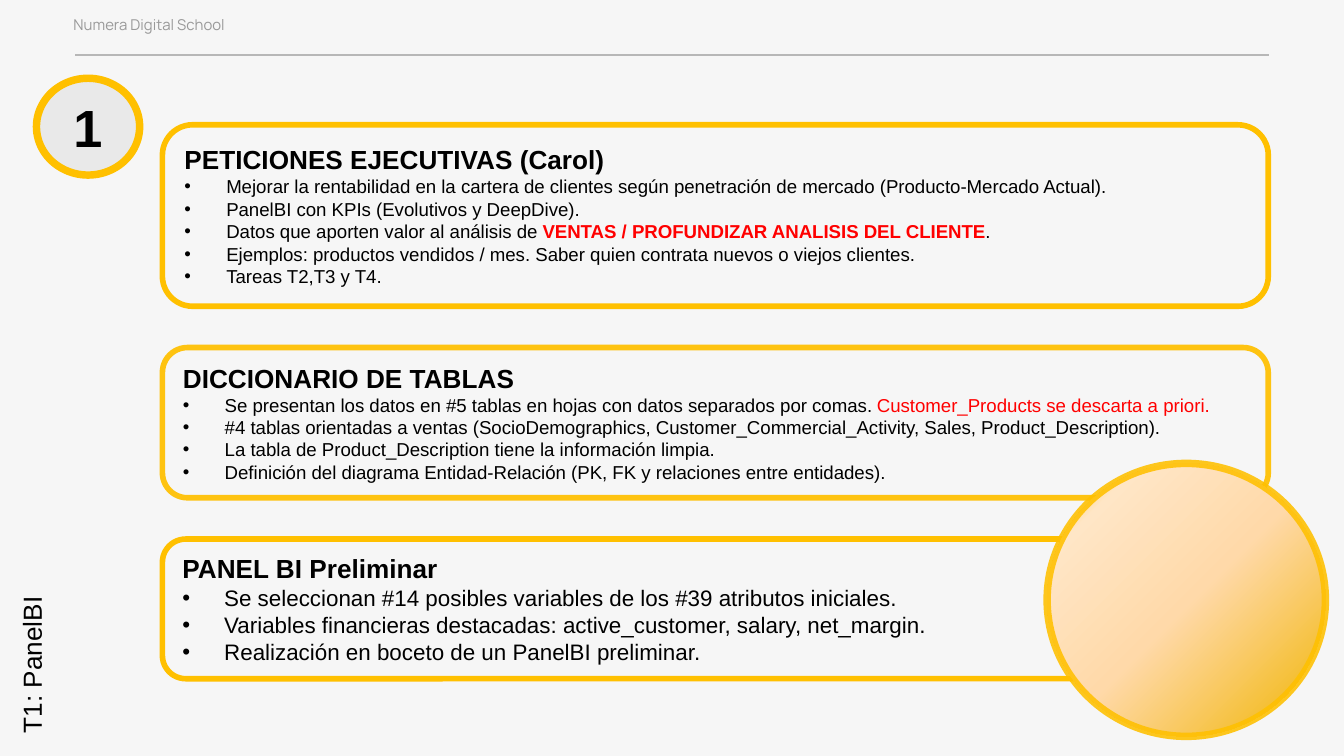
import dataclasses

import pptx
import pptx.dml.color
import pptx.enum.shapes
import pptx.enum.text
import pptx.oxml
import pptx.oxml.ns
import pptx.util

Cm, Pt = pptx.util.Cm, pptx.util.Pt
RGB = pptx.dml.color.RGBColor.from_string
SHAPE = pptx.enum.shapes.MSO_SHAPE
ANCHOR = pptx.enum.text.MSO_ANCHOR
ALIGN = pptx.enum.text.PP_ALIGN
qn = pptx.oxml.ns.qn


@dataclasses.dataclass(frozen=True)
class Theme:
    """Colours, fonts and type sizes of the slide."""
    back: str = "F6F6F6"
    rule: str = "B7B7B7"
    muted: str = "999999"
    ink: str = "000000"
    alert: str = "FF0000"
    gold: str = "FFC000"
    white: str = "FFFFFF"
    grey: str = "808080"
    glow: tuple = ((0, "F0B400"), (49, "FFD9A9"), (83, "FFE6C6"), (100, "FFC000"))
    font: str = "Arial"
    brand_font: str = "Manrope"
    tiny: int = 8
    small: int = 10
    body: int = 12
    title: int = 14
    number: int = 28


T = Theme()

CARDS = [
    ("PETICIONES EJECUTIVAS (Carol)", 3.43, T.small, 100, [
        ["Mejorar la rentabilidad en la cartera de clientes según penetración de mercado (Producto-Mercado Actual)."],
        ["PanelBI con KPIs (Evolutivos y DeepDive)."],
        ["Datos que aporten valor al análisis de ",
         ("VENTAS / PROFUNDIZAR ANALISIS DEL CLIENTE", {"color": T.alert, "bold": True}), "."],
        ["Ejemplos: productos vendidos / mes. Saber quien contrata nuevos o viejos clientes."],
        ["Tareas T2,T3 y T4."]]),
    ("DICCIONARIO DE TABLAS", 2.84, T.small, 92, [
        ["Se presentan los datos en #5 tablas en hojas con datos separados por comas. ",
         ("Customer_Products se descarta a priori.", {"color": T.alert})],
        ["#4 tablas orientadas a ventas (SocioDemographics, Customer_Commercial_Activity, Sales, Product_Description)."],
        ["La tabla de Product_Description tiene la información limpia."],
        ["Definición del diagrama Entidad-Relación (PK, FK y relaciones entre entidades)."]]),
    ("PANEL BI Preliminar", 2.64, T.body, 100, [
        ["Se seleccionan #14 posibles variables de los #39 atributos iniciales."],
        ["Variables financieras destacadas: active_customer, salary, net_margin."],
        ["Realización en boceto de un PanelBI preliminar."]]),
]


def xml(tag, inner="", **attrs):
    """Return a DrawingML element."""
    pairs = " ".join(f'{k}="{v}"' for k, v in attrs.items())
    return pptx.oxml.parse_xml(f'<a:{tag} {pptx.oxml.ns.nsdecls("a")} {pairs}>{inner}</a:{tag}>')


def add_run(p, text, size=T.small, color=T.ink, bold=False, font=T.font):
    """Add a formatted run to a paragraph."""
    r = p.add_run()
    r.text = text
    r.font.size, r.font.bold, r.font.name = Pt(size), bold, font
    r.font.color.rgb = RGB(color)


def add_label(s, box, text, inset=0.13, **fmt):
    """Add a one-line text box."""
    sp = s.shapes.add_textbox(*map(Cm, box))
    tf = sp.text_frame
    tf.word_wrap = True
    tf.margin_top = tf.margin_bottom = Cm(inset)
    add_run(tf.paragraphs[0], text, **fmt)
    return sp


def set_alpha(parent, percent):
    """Set the opacity of the solid colour below an element."""
    if percent < 100:
        color = next(parent.iter(qn("a:srgbClr")))
        color.append(xml("alpha", val=percent * 1000))


def add_framed(s, kind, box, fill, weight, fill_alpha=10, line_alpha=100):
    """Add a translucent shape with a gold outline."""
    sp = s.shapes.add_shape(kind, *map(Cm, box))
    sp.shadow.inherit = False
    sp.fill.solid()
    sp.fill.fore_color.rgb = RGB(fill)
    set_alpha(sp._element.spPr.find(qn("a:solidFill")), fill_alpha)
    sp.line.color.rgb = RGB(T.gold)
    sp.line.width = Pt(weight)
    set_alpha(sp._element.spPr.find(qn("a:ln")), line_alpha)
    return sp


def add_header(s, box):
    """Add the school name above a thin rule."""
    left, top, width, height = box
    rule = s.shapes.add_connector(pptx.enum.shapes.MSO_CONNECTOR.STRAIGHT,
                                  Cm(left), Cm(top + height), Cm(left + width), Cm(top + height))
    rule.line.color.rgb = RGB(T.rule)
    rule.line.width = Pt(0.75)
    rule._element.spPr.append(xml("effectLst"))
    add_label(s, (left - 0.28, top, 10.92, 0.97), "Numera Digital School", inset=0.25,
              size=T.tiny, color=T.muted, font=T.brand_font)


def add_badge(s, box, number):
    """Add the numbered circle."""
    left, top, width, height = box
    add_framed(s, SHAPE.OVAL, box, T.grey, 4)
    add_label(s, (left + 0.45, top + 0.2, 0.82, 1.45), number, size=T.number, bold=True)


def add_card(s, box, title, size, line_alpha, bullets):
    """Add a rounded card with a title and bullets."""
    sp = add_framed(s, SHAPE.ROUNDED_RECTANGLE, box, T.white, 3, line_alpha=line_alpha)
    tf = sp.text_frame
    tf.word_wrap = True
    tf.vertical_anchor = ANCHOR.MIDDLE
    p = tf.paragraphs[0]
    p.alignment = ALIGN.LEFT
    add_run(p, title, size=T.title, bold=True)
    for parts in bullets:
        p = tf.add_paragraph()
        p.alignment = ALIGN.LEFT
        pPr = p._p.get_or_add_pPr()
        pPr.set("marL", str(Cm(0.79)))
        pPr.set("indent", str(-Cm(0.79)))
        pPr.append(xml("buClr", f'<a:srgbClr val="{T.ink}"/>'))
        pPr.append(xml("buFont", typeface=T.font))
        pPr.append(xml("buChar", char="•"))
        for part in parts:
            text, fmt = (part, {}) if isinstance(part, str) else part
            add_run(p, text, size=size, **fmt)


def add_cards(s, box, gap):
    """Stack the cards down the box with equal gaps."""
    left, top, width = box
    for title, height, size, line_alpha, bullets in CARDS:
        add_card(s, (left, top, width, height), title, size, line_alpha, bullets)
        top += height + gap


def add_disc(s, box):
    """Add the gradient circle."""
    sp = add_framed(s, SHAPE.OVAL, box, T.gold, 4, fill_alpha=100, line_alpha=88)
    stops = "".join(f'<a:gs pos="{pos * 1000}"><a:srgbClr val="{c}"/></a:gs>' for pos, c in T.glow)
    grad = xml("gradFill", f'<a:gsLst>{stops}</a:gsLst><a:path path="circle">'
               '<a:fillToRect l="100000" t="100000"/></a:path>'
               '<a:tileRect r="-100000" b="-100000"/>', rotWithShape=1)
    spPr = sp._element.spPr
    spPr.replace(spPr.find(qn("a:solidFill")), grad)


def add_side_label(s, box, text):
    """Add a label that reads upwards inside the box."""
    left, top, width, height = box
    shift = (height - width) / 2
    sp = add_label(s, (left - shift, top + shift, height, width), text, size=T.title)
    sp.rotation = 270


def main():
    """Build and save the slide."""
    prs = pptx.Presentation()
    prs.slide_width, prs.slide_height = Cm(25.4), Cm(14.29)
    s = prs.slides.add_slide(prs.slide_layouts[6])
    s.background.fill.solid()
    s.background.fill.fore_color.rgb = RGB(T.back)
    add_header(s, (1.42, 0.13, 22.56, 0.91))
    add_badge(s, (0.69, 1.48, 1.95, 1.83), "1")
    add_cards(s, (3.07, 2.36, 20.9), gap=0.78)
    add_disc(s, (19.79, 8.76, 5.26, 5.16))
    add_side_label(s, (0.17, 8.55, 0.86, 5.56), "T1: PanelBI")
    prs.save("out.pptx")


if __name__ == "__main__":
    main()
